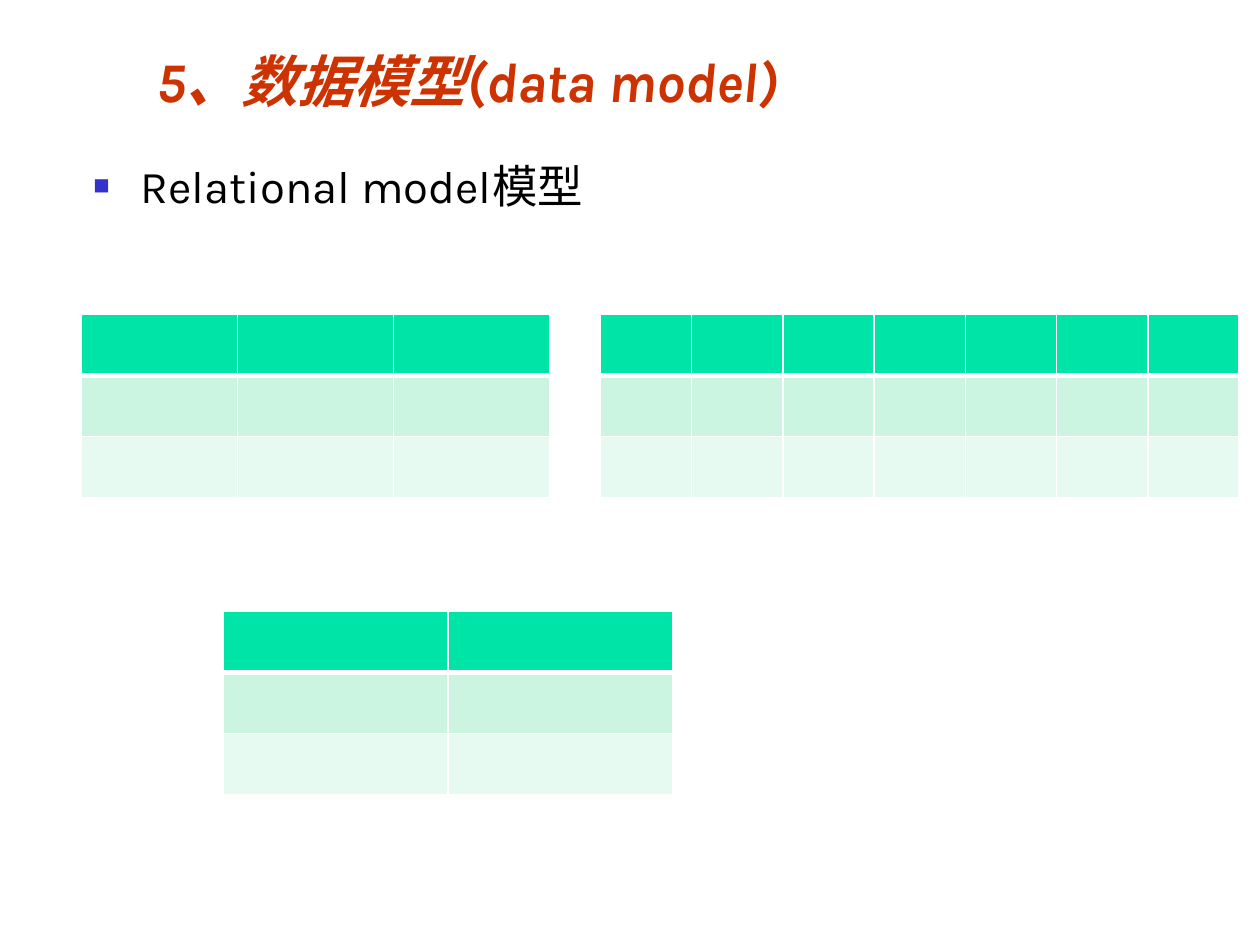
from lxml.etree import SubElement
from pptx import Presentation
from pptx.dml.color import RGBColor
from pptx.enum.text import MSO_ANCHOR as Anchor, MSO_AUTO_SIZE as AutoSize, PP_ALIGN as Align
from pptx.oxml.ns import qn
from pptx.util import Cm, Pt

RED = RGBColor(0xCC, 0x33, 0x00)
BLACK = RGBColor(0, 0, 0)
BLUE = RGBColor(0x33, 0x33, 0xCC)
WHITE = RGBColor(0xFF, 0xFF, 0xFF)
HEADER = RGBColor(0x00, 0xE4, 0xA8)
BAND_DARK = RGBColor(0xCC, 0xF5, 0xE1)
BAND_LIGHT = RGBColor(0xE7, 0xFA, 0xF1)


def write(tf, text, font="Karla", size=26, color=BLACK, bold=False, italic=False,
          anchor=Anchor.TOP):
    tf.word_wrap = True
    tf.auto_size = AutoSize.NONE
    tf.vertical_anchor = anchor
    p = tf.paragraphs[0]
    p.alignment = Align.LEFT
    r = p.add_run()
    r.text = text
    f = r.font
    f.name, f.size, f.bold, f.italic = font, Pt(size), bold, italic
    f.color.rgb = color
    return p


class SlideBuilder:
    row_fills = (HEADER, BAND_DARK, BAND_LIGHT)
    row_height = 1.23
    thin, thick = 1, 3

    def __init__(self, prs):
        self.s = prs.slides.add_slide(prs.slide_layouts[1])

    def place(self, sp, left, top, width, height):
        sp.left, sp.top, sp.width, sp.height = map(Cm, (left, top, width, height))

    def title(self, text, *box):
        sp = self.s.shapes.title
        self.place(sp, *box)
        write(sp.text_frame, text, size=32, color=RED, bold=True, italic=True,
              anchor=Anchor.BOTTOM)

    def bullet(self, text, *box):
        sp = self.s.placeholders[1]
        self.place(sp, *box)
        p = write(sp.text_frame, text)
        pPr = p._p.get_or_add_pPr()
        pPr.set("marL", str(Cm(0.95)))
        pPr.set("indent", str(-Cm(0.95)))
        clr = SubElement(pPr, qn("a:buClr"))
        SubElement(clr, qn("a:srgbClr"), val=str(BLUE))
        SubElement(pPr, qn("a:buSzPct"), val="60000")
        SubElement(pPr, qn("a:buChar"), char="■")

    def border(self, cell, side, width):
        ln = SubElement(cell._tc.get_or_add_tcPr(), qn(f"a:ln{side}"), w=str(Pt(width)))
        fill = SubElement(ln, qn("a:solidFill"))
        SubElement(fill, qn("a:srgbClr"), val=str(WHITE))

    def table(self, cols, left, top, width):
        rows = len(self.row_fills)
        frame = self.s.shapes.add_table(rows, cols, Cm(left), Cm(top), Cm(width),
                                        Cm(self.row_height * rows))
        for i, (row, color) in enumerate(zip(frame.table.rows, self.row_fills)):
            for cell in row.cells:
                for side in "LRTB":
                    under_header = (i, side) in ((0, "B"), (1, "T"))
                    self.border(cell, side, self.thick if under_header else self.thin)
                cell.fill.solid()
                cell.fill.fore_color.rgb = color


def main():
    prs = Presentation()
    prs.slide_width, prs.slide_height = Cm(25.4), Cm(19.05)
    b = SlideBuilder(prs)
    b.title("5、数据模型(data model)", 2.9, 0.53, 17.32, 1.9)
    b.bullet("Relational model模型", 1.63, 3.05, 13.39, 1.68)
    b.table(3, 1.63, 6.34, 9.46)
    b.table(7, 12.1, 6.34, 12.88)
    b.table(2, 4.5, 12.33, 9.06)
    prs.save("out.pptx")


if __name__ == "__main__":
    main()
